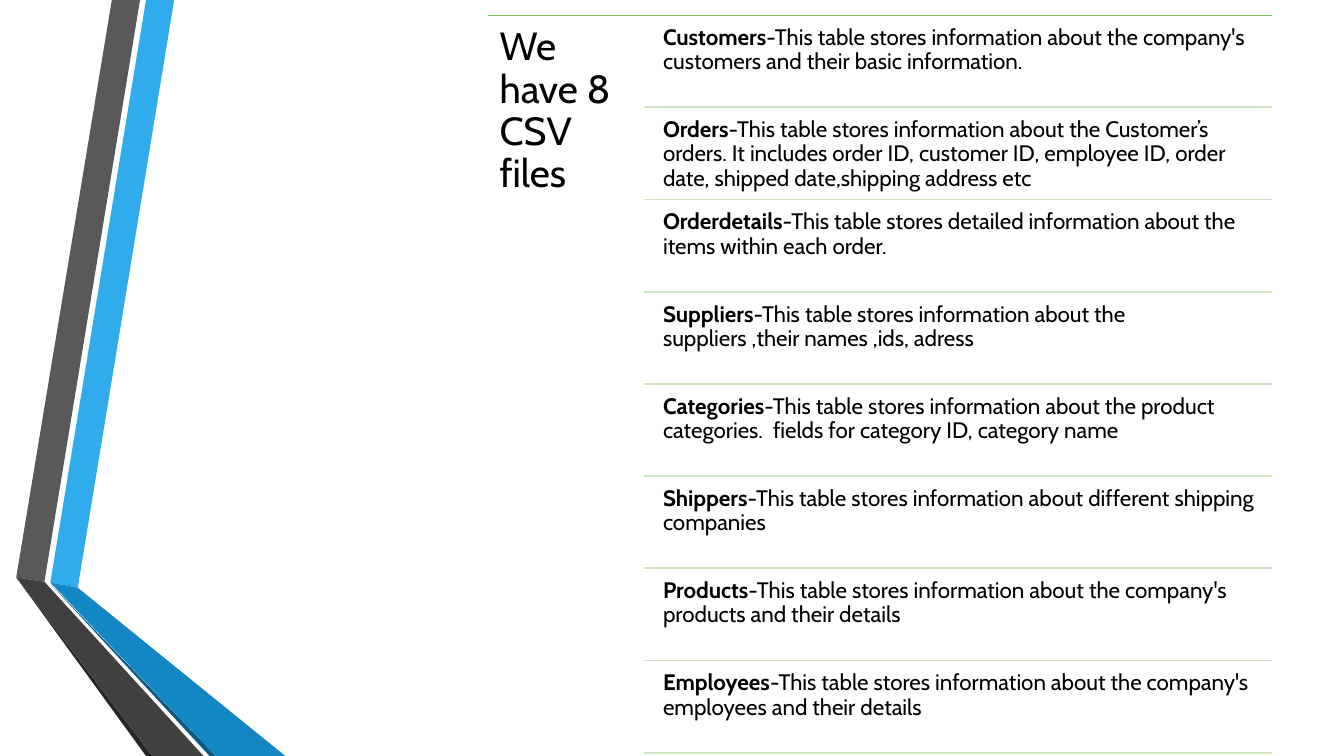
from lxml.etree import SubElement
from pptx import Presentation
from pptx.dml.color import RGBColor as Rgb
from pptx.enum.shapes import MSO_CONNECTOR as Link
from pptx.enum.text import MSO_ANCHOR as Anchor, MSO_AUTO_SIZE as Fit, PP_ALIGN as Align
from pptx.oxml.ns import qn
from pptx.util import Cm, Pt

# Content
TITLE = "We have 8 CSV files"
FILES = [
    ("Customers", "This table stores information about the company's customers and their basic information."),
    ("Orders", "This table stores information about the Customer’s orders. It includes order ID, customer ID, "
               "employee ID, order date, shipped date,shipping address etc"),
    ("Orderdetails", "This table stores detailed information about the items within each order."),
    ("Suppliers", "This table stores information about the suppliers ,their names ,ids, adress"),
    ("Categories", "This table stores information about the product categories.  fields for category ID, "
                   "category name"),
    ("Shippers", "This table stores information about different shipping companies"),
    ("Products", "This table stores information about the company's products and their details"),
    ("Employees", "This table stores information about the company's employees and their details"),
]
COLORS = {
    "sky": "30ACEC", "gray": "595959", "black": "262626", "navy": "0C5A82", "blue": "1287C3",
    "coal": "404040", "green": "80C34F", "pale": "CDE4C2", "text": "000000",
}
FONT = "Cabin"

# Ribbon corners in cm, from back to front
RIBBONS = [
    ("sky", [(1.27, 14.68), (1.96, 14.81), (4.39, 0), (3.68, 0)]),
    ("gray", [(3.53, 0), (2.82, 0), (0.41, 14.55), (1.12, 14.66)]),
    ("black", [(0.41, 14.55), (3.68, 19.05), (3.84, 19.05)]),
    ("navy", [(1.27, 14.71), (5.28, 19.05), (5.44, 19.05)]),
    ("blue", [(1.27, 14.68), (5.44, 19.05), (7.19, 19.05), (1.96, 14.81)]),
    ("coal", [(5.13, 19.05), (1.12, 14.66), (0.41, 14.55), (3.84, 19.05)]),
]

# Layout in cm
LEFT, INNER, RIGHT = 12.29, 16.23, 32.06
TOP, BOTTOM = 0.38, 18.97
STEP = (BOTTOM - TOP) / len(FILES)


def color(name):
    return Rgb.from_string(COLORS[name])


def ribbon(slide, name, points):
    spots = [(Cm(x), Cm(y)) for x, y in points]
    pen = slide.shapes.build_freeform(*spots[0])
    pen.add_line_segments(spots[1:], close=True)
    shape = pen.convert_to_shape()
    shape.shadow.inherit = False
    shape.fill.solid()
    shape.fill.fore_color.rgb = color(name)
    shape.line.fill.background()


def rule(slide, left, y, name, width):
    line = slide.shapes.add_connector(Link.STRAIGHT, Cm(left), Cm(y), Cm(RIGHT), Cm(y))
    line.line.color.rgb = color(name)
    line.line.width = Pt(width)
    SubElement(line._element.spPr, qn("a:effectLst"))


def place(box, left, top, width, height):
    box.left, box.top, box.width, box.height = Cm(left), Cm(top), Cm(width), Cm(height)


def style(frame, inset, size):
    frame.word_wrap = True
    frame.auto_size = Fit.NONE
    frame.vertical_anchor = Anchor.TOP
    frame.margin_left = frame.margin_right = Cm(inset)
    frame.margin_top = frame.margin_bottom = Cm(inset)
    para = frame.paragraphs[0]
    para.alignment = Align.LEFT
    para.line_spacing = 0.9
    para.font.name = FONT
    para.font.size = Pt(size)
    para.font.color.rgb = color("text")
    return para


def main():
    deck = Presentation()
    deck.slide_width, deck.slide_height = Cm(33.87), Cm(19.05)
    slide = deck.slides.add_slide(deck.slide_layouts[5])

    # Side ribbons
    for name, points in RIBBONS:
        ribbon(slide, name, points)

    # Title
    rule(slide, LEFT, TOP, "green", 0.75)
    title = slide.shapes.title
    place(title, LEFT, TOP, 3.96, 18.67)
    title.text_frame.text = TITLE
    style(title.text_frame, 0.3, 28)

    # File list, each row closed by a rule
    for row, (name, note) in enumerate(FILES):
        top = TOP + row * STEP
        box = slide.shapes.add_textbox(0, 0, 0, 0)
        place(box, INNER + 0.3, top + 0.1, 15.49, 2.21)
        para = style(box.text_frame, 0.18, 16)
        head = para.add_run()
        head.text = name
        head.font.bold = True
        para.add_run().text = "-" + note
        rule(slide, INNER, top + STEP, "pale", 1.25)

    deck.save("out.pptx")


if __name__ == "__main__":
    main()
